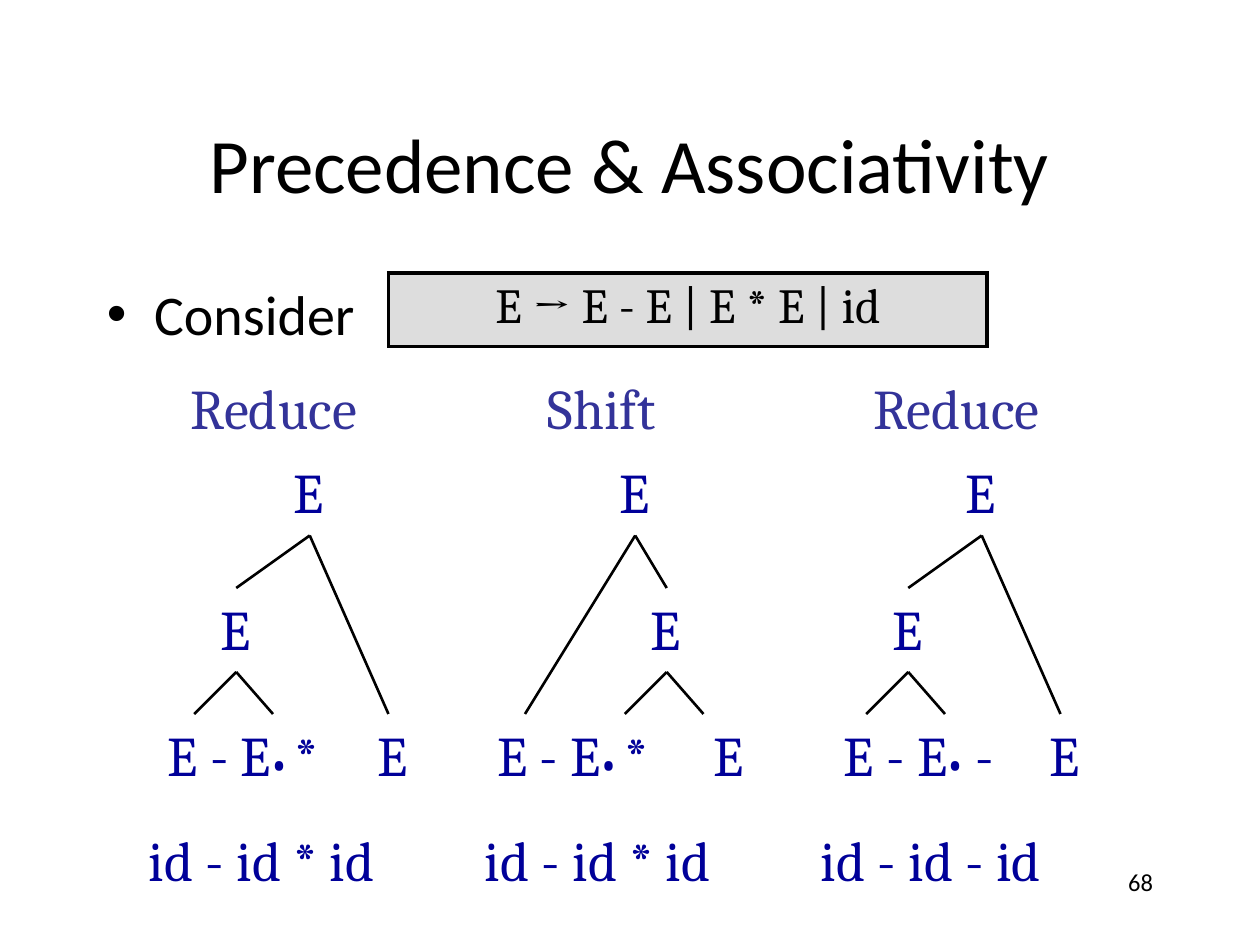
from lxml.etree import SubElement
from pptx import Presentation
from pptx.dml.color import RGBColor
from pptx.enum.shapes import MSO_CONNECTOR
from pptx.enum.text import MSO_ANCHOR, PP_ALIGN
from pptx.oxml.ns import qn
from pptx.util import Pt

BLACK, NAVY, INDIGO, GREY = "000000", "000099", "333399", "DDDDDD"
SANS, SERIF, COMIC = "Calibri", "Cambria", "Comic Neue"
ROOT_Y, INNER_Y, LEAF_Y, NODE_W, NODE_H = 258, 336, 408, 54, 48


def rgb(color):
    """Turn a hex string into a colour."""
    return RGBColor.from_string(color)


class Deck:
    """Style and current slide, with a method for each kind of element."""

    def __init__(self, prs):
        """Add a blank slide to the presentation."""
        self.s = prs.slides.add_slide(prs.slide_layouts[6])

    def runs(self, p, runs, color):
        """Write (text, size, font, bold) runs into a paragraph."""
        for text, size, font, bold in runs:
            r = p.add_run()
            r.text = text
            r.font.size = Pt(size)
            r.font.name = font
            r.font.bold = bold
            r.font.color.rgb = rgb(color)

    def text(self, x, y, w, h, runs, color=NAVY, align=PP_ALIGN.LEFT,
             anchor=MSO_ANCHOR.TOP, bullet=False):
        """Add a one-paragraph text box."""
        sp = self.s.shapes.add_textbox(Pt(x), Pt(y), Pt(w), Pt(h))
        tf = sp.text_frame
        tf.word_wrap = True
        tf.vertical_anchor = anchor
        p = tf.paragraphs[0]
        p.alignment = align
        if bullet:
            pPr = p._p.get_or_add_pPr()
            pPr.set("marL", str(Pt(27)))
            pPr.set("indent", str(-Pt(27)))
            SubElement(pPr, qn("a:buFont")).set("typeface", "Arial")
            SubElement(pPr, qn("a:buChar")).set("char", "•")
        self.runs(p, runs, color)
        return sp

    def node(self, x, y):
        """Add one E of a parse tree."""
        runs = [(" ", 32, COMIC, False), ("E", 32, SERIF, False)]
        return self.text(x, y, NODE_W, NODE_H, runs)

    def edge(self, parent, x, y, child=None):
        """Draw a branch from the foot of a node."""
        c = self.s.shapes.add_connector(
            MSO_CONNECTOR.STRAIGHT, Pt(0), Pt(0), Pt(x), Pt(y))
        c.begin_connect(parent, 2)
        if child is not None:
            c.end_connect(child, 0)
        c.line.color.rgb = rgb(BLACK)
        c.line.width = Pt(1.5)
        SubElement(c._element.spPr, qn("a:effectLst"))

    def tree(self, root_x, inner_x, leaf_x, far_x):
        """Draw a parse tree with its inner node and free leaf."""
        inner = self.node(inner_x, INNER_Y)
        self.node(leaf_x, LEAF_Y)
        root = self.node(root_x, ROOT_Y)
        mid = inner_x + NODE_W / 2
        self.edge(root, mid, INNER_Y, inner)
        self.edge(inner, mid + 21, LEAF_Y)
        self.edge(inner, mid - 24, LEAF_Y)
        self.edge(root, far_x, LEAF_Y)

    def grammar(self, x, y, w, h, text):
        """Add the framed one-cell table with the grammar."""
        table = self.s.shapes.add_table(1, 1, Pt(x), Pt(y), Pt(w), Pt(h)).table
        table.first_row = table.horz_banding = False
        cell = table.cell(0, 0)
        tcPr = cell._tc.get_or_add_tcPr()
        for side in ("a:lnL", "a:lnR", "a:lnT", "a:lnB"):
            ln = SubElement(tcPr, qn(side))
            ln.set("w", str(Pt(2.25)))
            fill = SubElement(ln, qn("a:solidFill"))
            SubElement(fill, qn("a:srgbClr")).set("val", BLACK)
        cell.fill.solid()
        cell.fill.fore_color.rgb = rgb(GREY)
        p = cell.text_frame.paragraphs[0]
        p.alignment = PP_ALIGN.CENTER
        self.runs(p, [(text, 28, SERIF, False)], BLACK)


def main():
    """Build the slide and save it."""
    prs = Presentation()
    prs.slide_width, prs.slide_height = Pt(720), Pt(540)
    d = Deck(prs)
    d.text(516, 492, 150, 36, [("68", 14, SANS, False)], BLACK, PP_ALIGN.RIGHT)
    d.text(54, 48, 612, 90, [("Precedence & Associativity", 44, SANS, False)],
           BLACK, PP_ALIGN.CENTER, MSO_ANCHOR.MIDDLE)
    d.text(54, 156, 612, 324, [("Consider", 32, SANS, False)], BLACK, bullet=True)
    d.grammar(222, 156, 342, 42, "E → E - E | E * E | id")

    for x, action in ((102, "Reduce"), (306, "Shift"), (492, "Reduce")):
        d.text(x, 210, 126, 48, [(action, 32, SERIF, False)], INDIGO)

    for tree in ((150, 108, 198, 222), (336, 354, 390, 300), (534, 492, 582, 606)):
        d.tree(*tree)

    for x, w, space_font, dot, operator in (
            (78, 138, COMIC, "• ", "*"),
            (270, 156, SERIF, "• ", "*"),
            (468, 156, SERIF, "•", " -")):
        d.text(x, LEAF_Y, w, NODE_H, [
            (" ", 32, space_font, False), ("E - E", 32, SERIF, False),
            (dot, 20, SERIF, True), (operator, 32, SERIF, False)])

    for i, sentence in enumerate(("id - id * id", "id - id * id", "id - id - id")):
        d.text(78 + 192 * i, 468, 174, 48, [(sentence, 32, SERIF, False)])

    prs.save("out.pptx")


if __name__ == "__main__":
    main()
